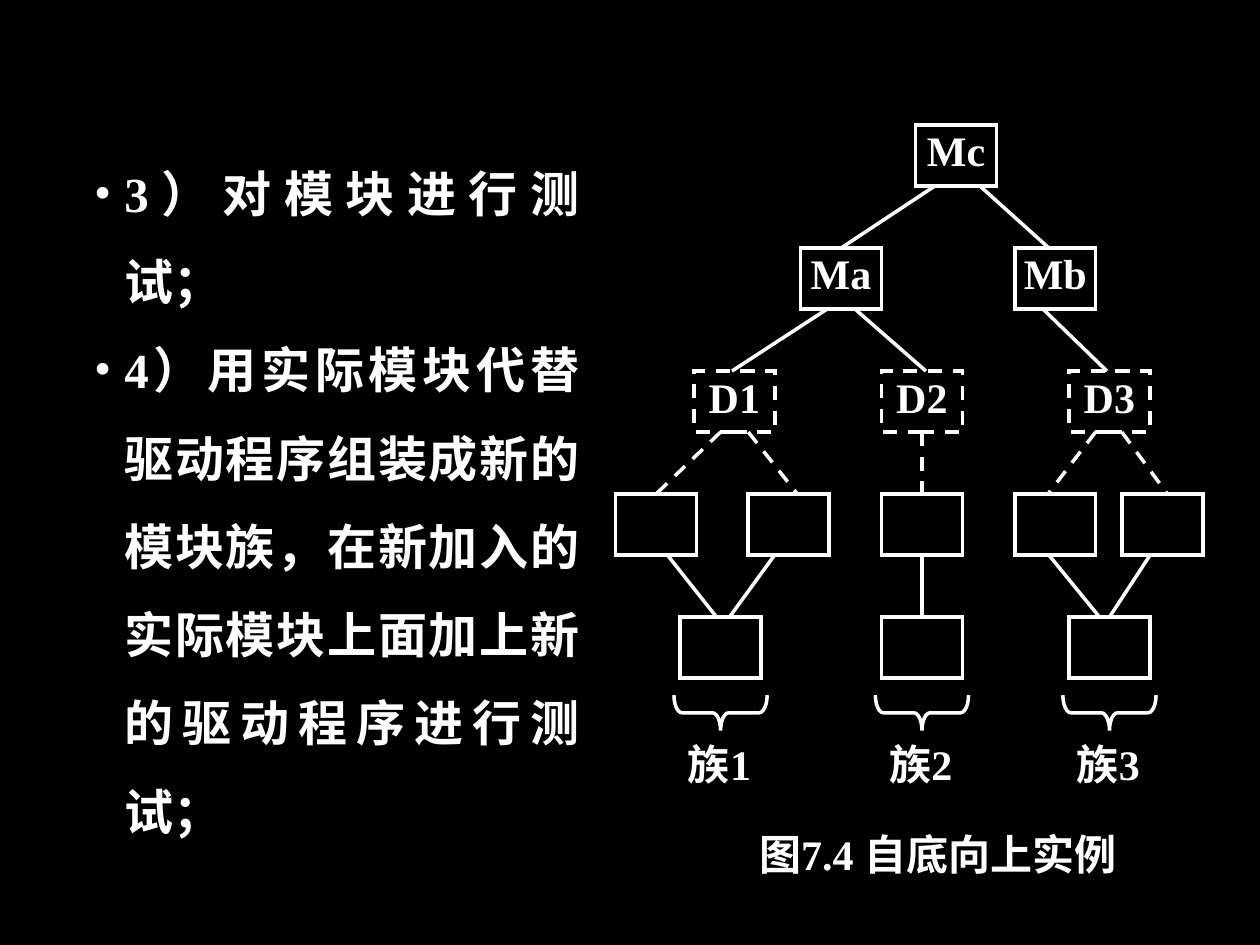
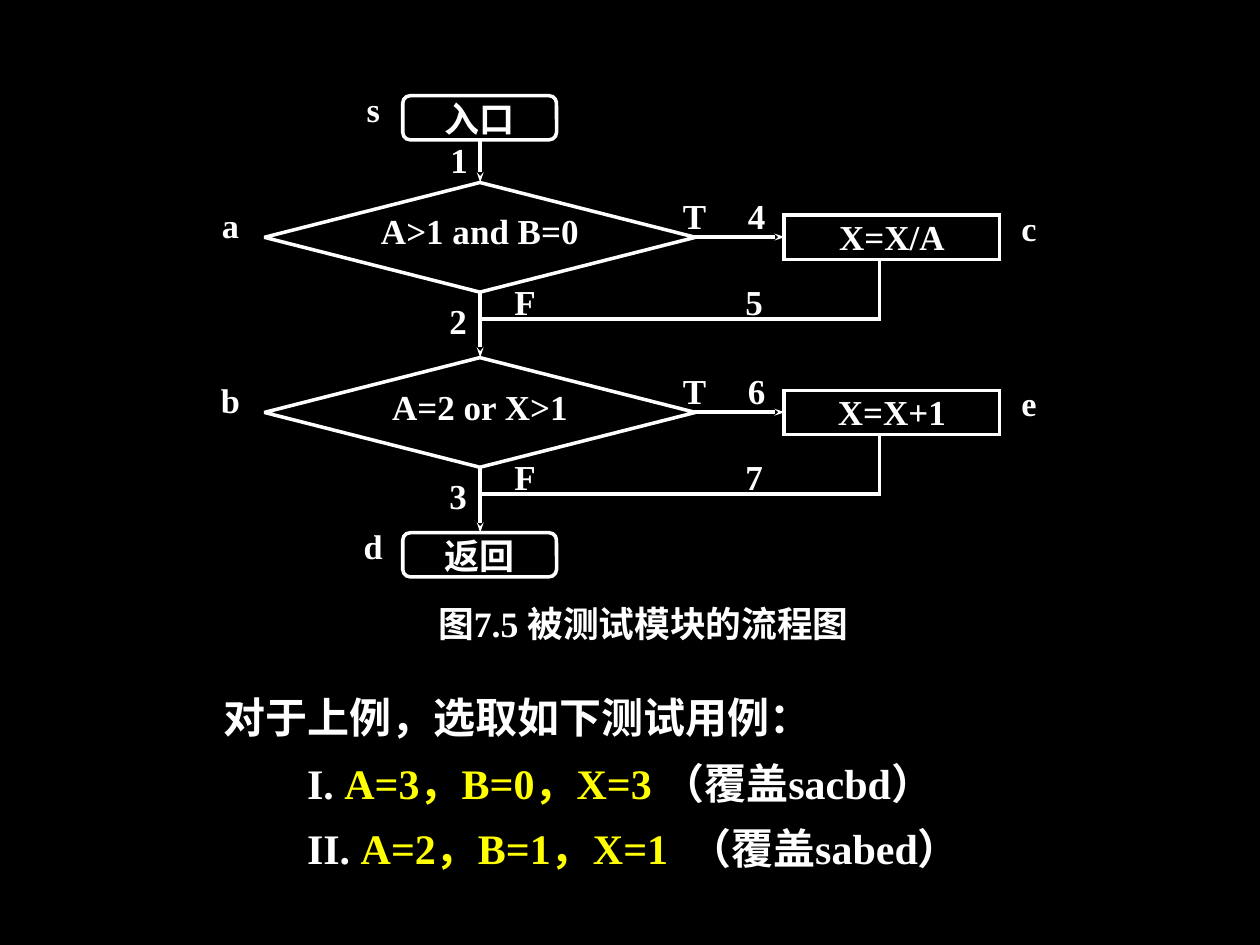
import dataclasses

import lxml.etree
import pptx
import pptx.dml.color
import pptx.enum.dml
import pptx.enum.lang
import pptx.enum.shapes
import pptx.enum.text
import pptx.oxml.ns
import pptx.util

Cm = pptx.util.Cm
Pt = pptx.util.Pt
qn = pptx.oxml.ns.qn
RGB = pptx.dml.color.RGBColor
SHAPE = pptx.enum.shapes.MSO_SHAPE
ALIGN = pptx.enum.text.PP_ALIGN


@dataclasses.dataclass(frozen=True)
class Theme:
    back: RGB = RGB(0, 0, 0)
    ink: RGB = RGB(255, 255, 255)
    accent: RGB = RGB(255, 255, 0)
    font: str = "Times New Roman"
    stroke: float = 2
    body: float = 28
    node: float = 24
    flow: float = 20
    flow_name: float = 19.6
    flow_caption: float = 20.4


THEME = Theme()


def add_slide(prs):
    s = prs.slides.add_slide(prs.slide_layouts[6])
    s.background.fill.solid()
    s.background.fill.fore_color.rgb = THEME.back
    return s


def write(tf, paragraphs, size=THEME.node, align=ALIGN.CENTER, spacing=None,
          bullet=False, indents=(), pad=0):
    """Fill a frame; a paragraph is a string or a list of (text, colour, tracking) runs."""
    tf.word_wrap = True
    tf.vertical_anchor = pptx.enum.text.MSO_ANCHOR.TOP
    tf.margin_left = tf.margin_right = 0
    tf.margin_top = tf.margin_bottom = Cm(pad)
    for i, runs in enumerate(paragraphs):
        p = tf.add_paragraph() if i else tf.paragraphs[0]
        p.alignment = align
        if spacing:
            p.line_spacing = spacing
        pPr = p._p.get_or_add_pPr()
        pPr.set("hangingPunct", "0")
        if indents:
            pPr.set("marL", str(Cm(indents[i])))
        if bullet:
            pPr.set("indent", str(-Cm(indents[i])))
            lxml.etree.SubElement(pPr, qn("a:buFont")).set("typeface", THEME.font)
            lxml.etree.SubElement(pPr, qn("a:buChar")).set("char", "•")
        if isinstance(runs, str):
            runs = [(runs, THEME.ink, 0)]
        for text, color, tracking in runs:
            r = p.add_run()
            r.text = text
            r.font.size = Pt(size)
            r.font.bold = True
            r.font.name = THEME.font
            r.font.color.rgb = color
            r.font.language_id = pptx.enum.lang.MSO_LANGUAGE_ID.SIMPLIFIED_CHINESE
            if tracking:
                r.font._element.set("spc", str(tracking * 100))


def add_text(s, x, y, w, h, *paragraphs, **style):
    sp = s.shapes.add_textbox(Cm(x), Cm(y), Cm(w), Cm(h))
    write(sp.text_frame, paragraphs, **style)


def draw_line(line, dashed=False):
    line.color.rgb = THEME.ink
    line.width = Pt(THEME.stroke)
    if dashed:
        line.dash_style = pptx.enum.dml.MSO_LINE.DASH
    ln = line._get_or_add_ln()
    lxml.etree.SubElement(ln, qn("a:miter")).set("lim", "800000")
    return ln


def outline(sp, dashed=False):
    sp.shadow.inherit = False
    sp.fill.background()
    draw_line(sp.line, dashed)


def add_outline(s, kind, x, y, w, h, text="", dashed=False, **style):
    sp = s.shapes.add_shape(kind, Cm(x), Cm(y), Cm(w), Cm(h))
    outline(sp, dashed)
    if text:
        write(sp.text_frame, [text], **style)
    return sp


def add_link(s, x1, y1, x2, y2, dashed=False, arrow=False):
    c = s.shapes.add_connector(pptx.enum.shapes.MSO_CONNECTOR.STRAIGHT,
                               Cm(x1), Cm(y1), Cm(x2), Cm(y2))
    ln = draw_line(c.line, dashed)
    if arrow:
        head = lxml.etree.SubElement(ln, qn("a:tailEnd"))
        head.set("type", "stealth")
        head.set("w", "sm")
    lxml.etree.SubElement(c._element.spPr, qn("a:effectLst"))


NODE_W, NODE_H, LEVEL = 1.63, 1.23, 2.48
# name: (left, level); drivers start with D, unnamed modules with _
MODULES = {
    "Mc": (6.07, 0), "Ma": (3.75, 1), "Mb": (8.07, 1),
    "D1": (1.6, 2), "D2": (5.38, 2), "D3": (9.16, 2),
    "_1": (0.02, 3), "_2": (2.69, 3), "_3": (5.38, 3), "_4": (8.07, 3), "_5": (10.23, 3),
    "_6": (1.32, 4), "_7": (5.38, 4), "_8": (9.16, 4),
}
# upper, lower, and how far each end lies from the centre of its module
CALLS = [
    ("Mc", "Ma", -0.43, 0), ("Mc", "Mb", 0.48, -0.13),
    ("Ma", "D1", -0.28, -0.05), ("Ma", "D2", 0.28, 0.08), ("Mb", "D3", -0.25, -0.05),
    ("D1", "_1", -0.28, 0), ("D1", "_2", 0.28, 0.18), ("D2", "_3", 0, 0),
    ("D3", "_4", -0.28, -0.15), ("D3", "_5", 0.25, 0.1),
    ("_1", "_6", 0.23, -0.08), ("_2", "_6", -0.28, 0.18), ("_3", "_7", 0, 0),
    ("_4", "_8", -0.13, -0.2), ("_5", "_8", -0.25, 0),
]


def module_tree(s, left, top):
    def centre(name):
        return left + MODULES[name][0] + NODE_W / 2

    def level_top(name):
        return top + MODULES[name][1] * LEVEL

    for name, (x, _) in MODULES.items():
        add_outline(s, SHAPE.RECTANGLE, left + x, level_top(name), NODE_W, NODE_H,
                    text="" if name.startswith("_") else name,
                    dashed=name.startswith("D"))
    for upper, lower, dx1, dx2 in CALLS:
        add_link(s, centre(upper) + dx1, level_top(upper) + NODE_H,
                 centre(lower) + dx2, level_top(lower), dashed=upper.startswith("D"))
    for i, root in enumerate(("_6", "_7", "_8"), 1):
        brace_w, brace_h = 0.71, 1.88
        brace = add_outline(s, SHAPE.RIGHT_BRACE, centre(root) - brace_w / 2,
                            top + 11.85 - brace_h / 2, brace_w, brace_h)
        brace.rotation = 90
        brace.adjustments[0] = 0.23
        add_text(s, centre(root) - 1.1, top + 12.37, 2.16, 1.24, f"族{i}")
    add_text(s, left + 2.56, top + 14.18, 7.9, 1.22, "图7.4 自底向上实例")


def bottom_up_slide(prs):
    s = add_slide(prs)
    add_text(s, 1.9, 2.57, 9.78, 12.37,
             "3）对模块进行测试；",
             "4）用实际模块代替驱动程序组装成新的模块族，在新加入的实际模块上面加上新的驱动程序进行测试；",
             size=THEME.body, align=ALIGN.JUSTIFY, spacing=1.5, bullet=True,
             indents=(0.61, 0.61), pad=0.13)
    module_tree(s, 12.39, 2.52)


AXIS, ROW_H, STAGE = 5.98, 0.89, 3.53


def flow_label(s, x, y, text, **style):
    add_text(s, x, y, 1.85, ROW_H, text, **{"size": THEME.flow, **style})


def flow_name(s, x, y, text):
    flow_label(s, x, y, text, size=THEME.flow_name, spacing=0.8)


def decision_stage(s, left, top, test, action, names, edges):
    """One decision with its true branch, the way back and the exit below."""
    axis = left + AXIS
    add_outline(s, SHAPE.FLOWCHART_DECISION, left + 1.63, top, 8.69, 2.21, test,
                size=THEME.flow)
    add_outline(s, SHAPE.RECTANGLE, left + 12.11, top + 0.66, 4.34, ROW_H, action,
                size=THEME.flow)
    add_link(s, left + 10.27, top + 1.1, left + 12.12, top + 1.1, arrow=True)
    add_link(s, axis, top + 2.21, axis, top + STAGE, arrow=True)

    turn, back = Cm(left + 14.03), Cm(top + 2.75)
    way_back = s.shapes.build_freeform(turn, Cm(top + 0.66 + ROW_H))
    way_back.add_line_segments([(turn, back), (Cm(axis), back)], close=False)
    outline(way_back.convert_to_shape())

    flow_name(s, left + 0.02, top + 0.6, names[0])
    flow_name(s, left + 16.12, top + 0.66, names[1])
    exit_no, true_no, back_no = edges
    for x, y, text in ((9.38, 0.24, "T"), (5.96, 1.98, "F"), (4.61, 2.36, exit_no),
                       (10.63, 0.24, true_no), (10.58, 1.97, back_no)):
        flow_label(s, left + x, top + y, text)


def flowchart(s, left, top):
    first = 1.75
    end = first + 2 * STAGE
    for y, text, name in ((0, "入口", "s"), (end, "返回", "d")):
        add_outline(s, SHAPE.FLOWCHART_ALTERNATE_PROCESS, left + 4.42, top + y,
                    3.1, ROW_H, text, size=THEME.flow)
        flow_name(s, left + 2.9, top + y, name)
    add_link(s, left + AXIS, top + ROW_H, left + AXIS, top + first, arrow=True)
    flow_label(s, left + 4.63, top + 0.87, "1")
    stages = [("A>1 and B=0", "X=X/A", "ac", "245"),
              ("A=2 or X>1", "X=X+1", "be", "367")]
    for i, stage in enumerate(stages):
        decision_stage(s, left, top + first + i * STAGE, *stage)
    add_text(s, left + 1.84, top + 10.31, 14.86, ROW_H, "图7.5 被测试模块的流程图",
             size=THEME.flow_caption, spacing=0.9)


def flowchart_slide(prs):
    s = add_slide(prs)
    flowchart(s, 3.7, 1.93)
    cases = [("I. ", "A=3，B=0，X=3", "（覆盖sacbd）", 0),
             ("II. ", "A=2，B=1，X=1", "（覆盖sabed）", 6)]
    lines = [[(number, THEME.ink, 0), (values, THEME.accent, 0),
              (" ", THEME.accent, gap), (cover, THEME.ink, 0)]
             for number, values, cover, gap in cases]
    add_text(s, 4.5, 13.51, 18.01, 4.22, "对于上例，选取如下测试用例：", *lines,
             align=ALIGN.LEFT, spacing=1.3, indents=(0, 1.69, 1.69), pad=0.13)


def main():
    prs = pptx.Presentation()
    prs.slide_width, prs.slide_height = Cm(25.4), Cm(19.05)
    bottom_up_slide(prs)
    flowchart_slide(prs)
    prs.save("out.pptx")


if __name__ == "__main__":
    main()
